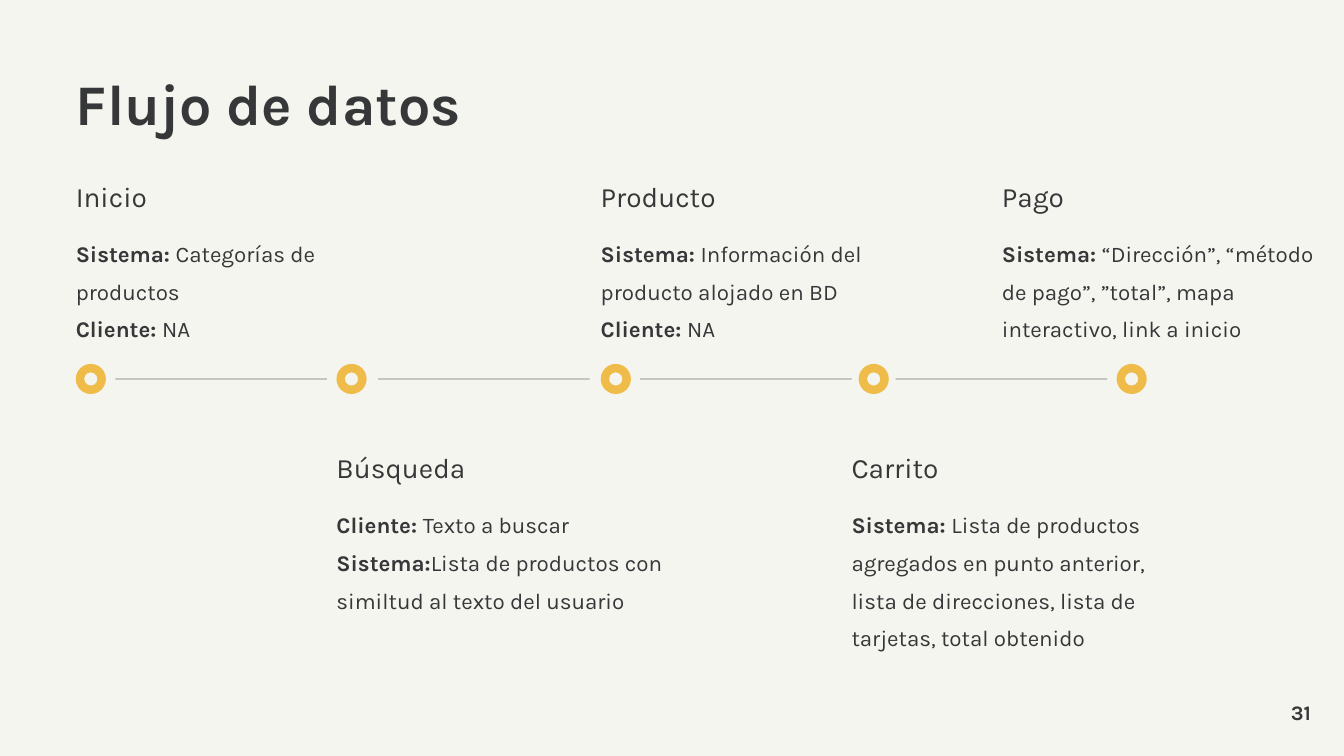
"""Build the "Flujo de datos" slide: a five-step timeline of system and client data."""
from lxml import etree
from pptx import Presentation
from pptx.dml.color import RGBColor
from pptx.enum.shapes import MSO_CONNECTOR as Connector, MSO_SHAPE as Shape
from pptx.enum.text import MSO_ANCHOR as Anchor, PP_ALIGN as Align
from pptx.oxml.ns import qn
from pptx.util import Cm, Pt

COLORS = {"background": "F5F5EF", "ink": "363739", "ring": "EFBC49"}
FONT = "Karla"
TEXT_WIDTH = 8.46
UPPER, LOWER = 4.19, 11.02
AXIS, RING_SIZE, LINE_LENGTH = 9.55, 0.76, 5.33


def color(name):
    return RGBColor.from_string(COLORS[name])


def add_text(left, top, width, height, lines, size, spacing, bold=False):
    """Add a text box; each line is a list of (text, bold) spans or one string."""
    box = page.shapes.add_textbox(Cm(left), Cm(top), Cm(width), Cm(height))
    frame = box.text_frame
    frame.word_wrap = True
    frame.margin_left = frame.margin_right = frame.margin_top = frame.margin_bottom = 0
    for index, line in enumerate(lines):
        para = frame.add_paragraph() if index else frame.paragraphs[0]
        para.line_spacing = spacing
        para.font.name, para.font.size = FONT, Pt(size)
        para.font.bold = bold
        para.font.color.rgb = color("ink")
        for text, strong in [(line, bold)] if isinstance(line, str) else line:
            span = para.add_run()
            span.text = text
            if strong != bold:
                span.font.bold = strong
    return frame


deck = Presentation()
deck.slide_width, deck.slide_height = Cm(33.87), Cm(19.05)
page = deck.slides.add_slide(deck.slide_layouts[6])
page.background.fill.solid()
page.background.fill.fore_color.rgb = color("background")

add_text(1.91, 1.91, 24, 2.67, ["Flujo de datos"], 41, 0.9, bold=True)

steps = [
    ("Inicio", 1.91, UPPER, [("Sistema: ", "Categorías de productos"), ("Cliente: ", "NA")]),
    ("Búsqueda", 8.48, LOWER, [
        ("Cliente: ", "Texto a buscar"),
        ("Sistema:", "Lista de productos con similtud al texto del usuario"),
    ]),
    ("Producto", 15.14, UPPER, [
        ("Sistema: ", "Información del producto alojado en BD"),
        ("Cliente: ", "NA"),
    ]),
    ("Carrito", 21.46, LOWER, [
        ("Sistema: ", "Lista de productos agregados en punto anterior, "
                      "lista de direcciones, lista de tarjetas, total obtenido"),
    ]),
    ("Pago", 25.25, UPPER, [
        ("Sistema: ", "“Dirección”, “método de pago”, ”total”, mapa interactivo, link a inicio"),
    ]),
]
for heading, left, top, details in steps:
    add_text(left, top, TEXT_WIDTH, 1.19, [heading], 20, 1.4)
    lines = [[(label, True), (text, False)] for label, text in details]
    add_text(left, top + 1.6, TEXT_WIDTH, 2.87, lines, 16, 1.4)

for left in (2.91, 9.53, 16.13, 22.57):
    line = page.shapes.add_connector(
        Connector.STRAIGHT, Cm(left), Cm(AXIS), Cm(left + LINE_LENGTH), Cm(AXIS))
    line.line.width = Pt(0.75)
    line.line.color.rgb = color("ink")
    properties = line._element.spPr
    shade = next(properties.iter(qn("a:srgbClr")))
    etree.SubElement(shade, qn("a:alpha")).set("val", "39000")
    etree.SubElement(properties, qn("a:effectLst"))

for left in (1.91, 8.48, 15.14, 21.64, 28.14):
    ring = page.shapes.add_shape(
        Shape.DONUT, Cm(left), Cm(AXIS - RING_SIZE / 2), Cm(RING_SIZE), Cm(RING_SIZE))
    ring.adjustments[0] = 0.28
    ring.shadow.inherit = False
    ring.fill.solid()
    ring.fill.fore_color.rgb = color("ring")
    ring.line.fill.background()

number = add_text(31.01, 17.6, 2.03, 0.69, ["31"], 14.7, 1.0, bold=True)
number.vertical_anchor = Anchor.MIDDLE
number.paragraphs[0].alignment = Align.RIGHT

deck.save("out.pptx")
